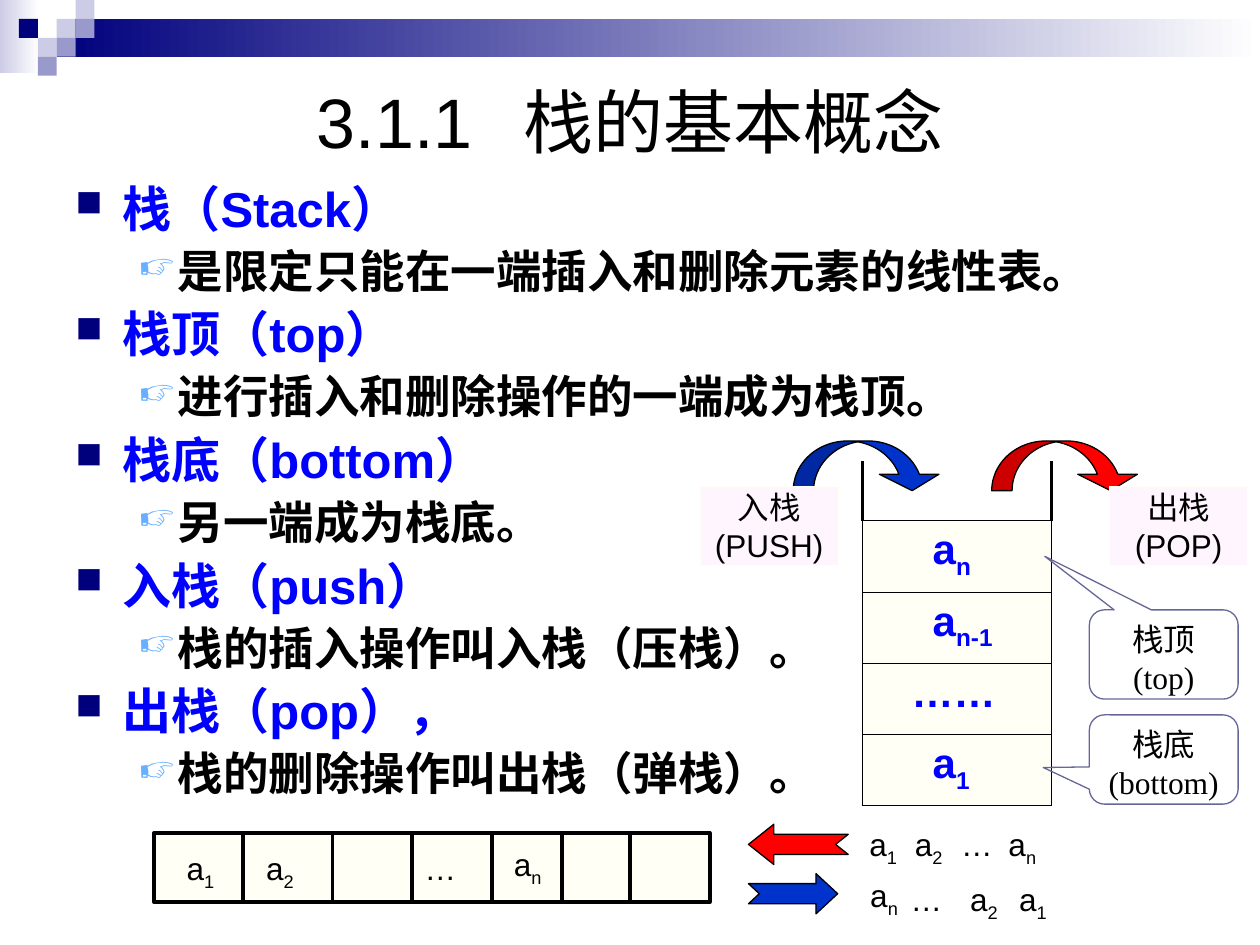
from lxml.etree import SubElement
from pptx import Presentation
from pptx.dml.color import RGBColor
from pptx.enum.shapes import MSO_CONNECTOR as Connector, MSO_SHAPE as Shape
from pptx.enum.text import MSO_ANCHOR as Anchor, PP_ALIGN as Align
from pptx.oxml.ns import qn
from pptx.util import Pt

BLACK = RGBColor(0x00, 0x00, 0x00)
WHITE = RGBColor(0xFF, 0xFF, 0xFF)
NAVY = RGBColor(0x00, 0x00, 0x7D)
LAVENDER = RGBColor(0xCC, 0xCC, 0xE6)
PERIWINKLE = RGBColor(0x99, 0x99, 0xCC)
BLUE = RGBColor(0x00, 0x00, 0xFF)
ARROW_BLUE = RGBColor(0x00, 0x33, 0xCC)
RED = RGBColor(0xFF, 0x00, 0x00)
SKY = RGBColor(0x67, 0xAF, 0xFF)
IVORY = RGBColor(0xFF, 0xFF, 0xF5)
PINK = RGBColor(0xFF, 0xF5, 0xFF)
SLATE = RGBColor(0x66, 0x66, 0x99)

TERMS = [
    ("栈（Stack）", "是限定只能在一端插入和删除元素的线性表。"),
    ("栈顶（top）", "进行插入和删除操作的一端成为栈顶。"),
    ("栈底（bottom）", "另一端成为栈底。"),
    ("入栈（push）", "栈的插入操作叫入栈（压栈）。"),
    ("出栈（pop），", "栈的删除操作叫出栈（弹栈）。"),
]


def write(para, text, size=18, color=BLACK, font="Arial", bold=False, tracking=0):
    """Append text to a paragraph; parts between underscores become subscripts."""
    for index, part in enumerate(text.split("_")):
        if not part:
            continue
        span = para.add_run()
        span.text = part
        span.font.size = Pt(size)
        span.font.name = font
        span.font.bold = bold
        span.font.color.rgb = color
        properties = span.font._element
        if index % 2:
            properties.set("baseline", "-25000")
        if tracking:
            properties.set("spc", str(tracking * 100))


def add_bullet(para, char, color, percent, left, hang):
    properties = para._p.get_or_add_pPr()
    properties.set("marL", str(Pt(left)))
    properties.set("indent", str(Pt(-hang)))
    bullet_color = SubElement(properties, qn("a:buClr"))
    SubElement(bullet_color, qn("a:srgbClr"), val=str(color))
    SubElement(properties, qn("a:buSzPct"), val=str(percent * 1000))
    SubElement(properties, qn("a:buChar"), char=char)


def add_tabs(para, stops):
    tab_list = SubElement(para._p.get_or_add_pPr(), qn("a:tabLst"))
    for stop in stops:
        SubElement(tab_list, qn("a:tab"), pos=str(Pt(stop)), algn="l")


def add_frame(page, left, top, width, height):
    frame = page.shapes.add_textbox(Pt(left), Pt(top), Pt(width), Pt(height)).text_frame
    frame.word_wrap = True
    return frame


def add_label(page, left, top, text, width=60, spacing=None, stops=()):
    para = add_frame(page, left, top, width, 30).paragraphs[0]
    para.line_spacing = spacing
    if stops:
        add_tabs(para, stops)
    write(para, text)


def add_figure(page, kind, left, top, width, height, fill=None, line=None,
               weight=0.75, adjustments=()):
    figure = page.shapes.add_shape(kind, Pt(left), Pt(top), Pt(width), Pt(height))
    figure.shadow.inherit = False
    if fill is None:
        figure.fill.background()
    else:
        figure.fill.solid()
        figure.fill.fore_color.rgb = fill
    if line is None:
        figure.line.fill.background()
    else:
        figure.line.color.rgb = line
        figure.line.width = Pt(weight)
    for index, value in enumerate(adjustments):
        figure.adjustments[index] = value
    return figure


def add_centered_lines(figure, lines, font="Arial", anchor=Anchor.MIDDLE, wrap=False):
    frame = figure.text_frame
    frame.word_wrap = wrap
    frame.vertical_anchor = anchor
    for index, text in enumerate(lines):
        para = frame.add_paragraph() if index else frame.paragraphs[0]
        para.alignment = Align.CENTER
        write(para, text, font=font)


def add_upright(page, x, top, bottom, weight):
    line = page.shapes.add_connector(Connector.STRAIGHT, Pt(x), Pt(top), Pt(x), Pt(bottom))
    line.line.color.rgb = BLACK
    line.line.width = Pt(weight)
    SubElement(line._element.spPr, qn("a:effectLst"))


def add_header(page, cell=10.8):
    bands = [(0, 0, 22.3, 42, LAVENDER), (3 * cell, cell, 720 - 3 * cell, 21.6, NAVY)]
    for left, top, width, height, start in bands:
        fill = add_figure(page, Shape.RECTANGLE, left, top, width, height).fill
        fill.gradient()
        fill.gradient_angle = 0
        for stop, color in zip(fill.gradient_stops, (start, WHITE)):
            stop.color.rgb = color
    squares = [(3, 1, LAVENDER), (4, 0, LAVENDER), (4, 1, PERIWINKLE), (2, 2, LAVENDER),
               (1, 1, NAVY), (3, 2, PERIWINKLE), (2, 3, PERIWINKLE)]
    for column, row, color in squares:
        add_figure(page, Shape.RECTANGLE, column * cell, row * cell, cell, cell, color)


def add_title(page, left, top, width, height):
    frame = add_frame(page, left, top, width, height)
    frame.vertical_anchor = Anchor.MIDDLE
    para = frame.paragraphs[0]
    para.alignment = Align.CENTER
    write(para, "3.1.1", size=40)
    write(para, " ", size=40, tracking=18)
    write(para, "栈的基本概念", size=40)


def add_terms(page, left, top, width, height):
    frame = add_frame(page, left, top, width, height)
    for index, (term, meaning) in enumerate(TERMS):
        head = frame.add_paragraph() if index else frame.paragraphs[0]
        head.line_spacing = 0.9
        if index:
            head.space_before = Pt(7)
        add_bullet(head, "■", NAVY, 75, left=27, hang=27)
        write(head, term, size=28, color=BLUE, bold=True)
        detail = frame.add_paragraph()
        detail.level = 1
        detail.line_spacing = 0.9
        detail.space_before = Pt(6.5)
        add_bullet(detail, "☞", SKY, 80, left=58.5, hang=22.5)
        write(detail, meaning, size=26, bold=True)


def add_array(page, left, top, width, height):
    add_figure(page, Shape.RECTANGLE, left, top, width, height, IVORY, BLACK, 2.25)
    for offset in (51, 102, 147.5, 193, 233, 272):
        add_upright(page, left + offset, top, top + height, 2.25)
    for offset, text in ((11.5, "a_1_"), (57, "a_2_"), (147.5, "…")):
        add_label(page, left + offset, top + 5.8, text)
    add_label(page, left + 198.5, top + 5.8, "a_n_", spacing=0.8)


def add_sequences(page, left, top):
    """Place the in and out arrows, each beside its order of elements."""
    arrow = add_figure(page, Shape.NOTCHED_RIGHT_ARROW, left, top, 57, 23, RED, BLACK,
                       adjustments=(0.5, 0.63))
    arrow.rotation = 180
    add_figure(page, Shape.NOTCHED_RIGHT_ARROW, left, top + 28.2, 51, 23, ARROW_BLUE, BLACK,
               adjustments=(0.5, 0.54))
    add_label(page, left + 62, top - 3, "a_1_\ta_2_\t…\ta_n_", width=141,
              stops=(26, 52.5, 79.5))
    add_label(page, left + 62.5, top + 28.2, "a_n_", spacing=0.8)
    for offset, text in ((85.5, "…"), (119.5, "a_2_"), (147.5, "a_1_")):
        add_label(page, left + offset, top + 28.2, text)


def add_cell_borders(cell):
    properties = cell._tc.get_or_add_tcPr()
    for index, (side, weight) in enumerate((("L", 1), ("R", 1), ("T", 0.5), ("B", 0.5))):
        border = SubElement(properties, qn("a:ln" + side), w=str(Pt(weight)))
        SubElement(SubElement(border, qn("a:solidFill")), qn("a:srgbClr"), val=str(BLACK))
        properties.insert(index, border)


def add_stack(page, left, top, width, row_height):
    rows = ["a_n_", "a_n-1_", "……", "a_1_"]
    table = page.shapes.add_table(len(rows), 1, Pt(left), Pt(top), Pt(width),
                                  Pt(row_height * len(rows))).table
    table.first_row = table.horz_banding = False
    for index, text in enumerate(rows):
        table.rows[index].height = Pt(row_height)
        cell = table.cell(index, 0)
        cell.margin_left = Pt(28 if text == "……" else 40)
        cell.fill.solid()
        cell.fill.fore_color.rgb = IVORY
        add_cell_borders(cell)
        write(cell.text_frame.paragraphs[0], text, size=24, color=BLUE, bold=True)

    for offset, color in ((-39.7, ARROW_BLUE), (73.7, RED)):
        add_figure(page, Shape.CURVED_DOWN_ARROW, left + offset, top - 45.5, 85, 28.4,
                   color, BLACK, adjustments=(0.41, 1.2, 0.33))
    for offset, lines in ((-93, ("入栈", "(PUSH)")), (141, ("出栈", "(POP)"))):
        plate = add_figure(page, Shape.RECTANGLE, left + offset, top - 19.5, 79, 45,
                           PINK, IVORY)
        add_centered_lines(plate, lines)
    callouts = [(51, ("栈顶", "(top)"), (-0.8, -1.1, 0.17)),
                (111, ("栈底", "(bottom)"), (-0.81, 0.09, 0.17))]
    for offset, lines, adjustments in callouts:
        callout = add_figure(page, Shape.ROUNDED_RECTANGULAR_CALLOUT, left + 129.5,
                             top + offset, 85, 51, line=SLATE, adjustments=adjustments)
        add_centered_lines(callout, lines, "Times New Roman", Anchor.TOP, wrap=True)
    for x in (left, left + width):
        add_upright(page, x, top - 34, top, 2)


def main():
    deck = Presentation()
    deck.slide_width, deck.slide_height = Pt(720), Pt(540)
    page = deck.slides.add_slide(deck.slide_layouts[6])
    add_header(page)
    add_title(page, 36, 36, 648, 66)
    add_terms(page, 36, 102, 648, 408)
    add_sequences(page, 427.7, 471)
    add_array(page, 88, 476, 317.5, 39.5)
    add_stack(page, 493, 297.5, 108, 40.75)
    deck.save("out.pptx")


if __name__ == "__main__":
    main()
